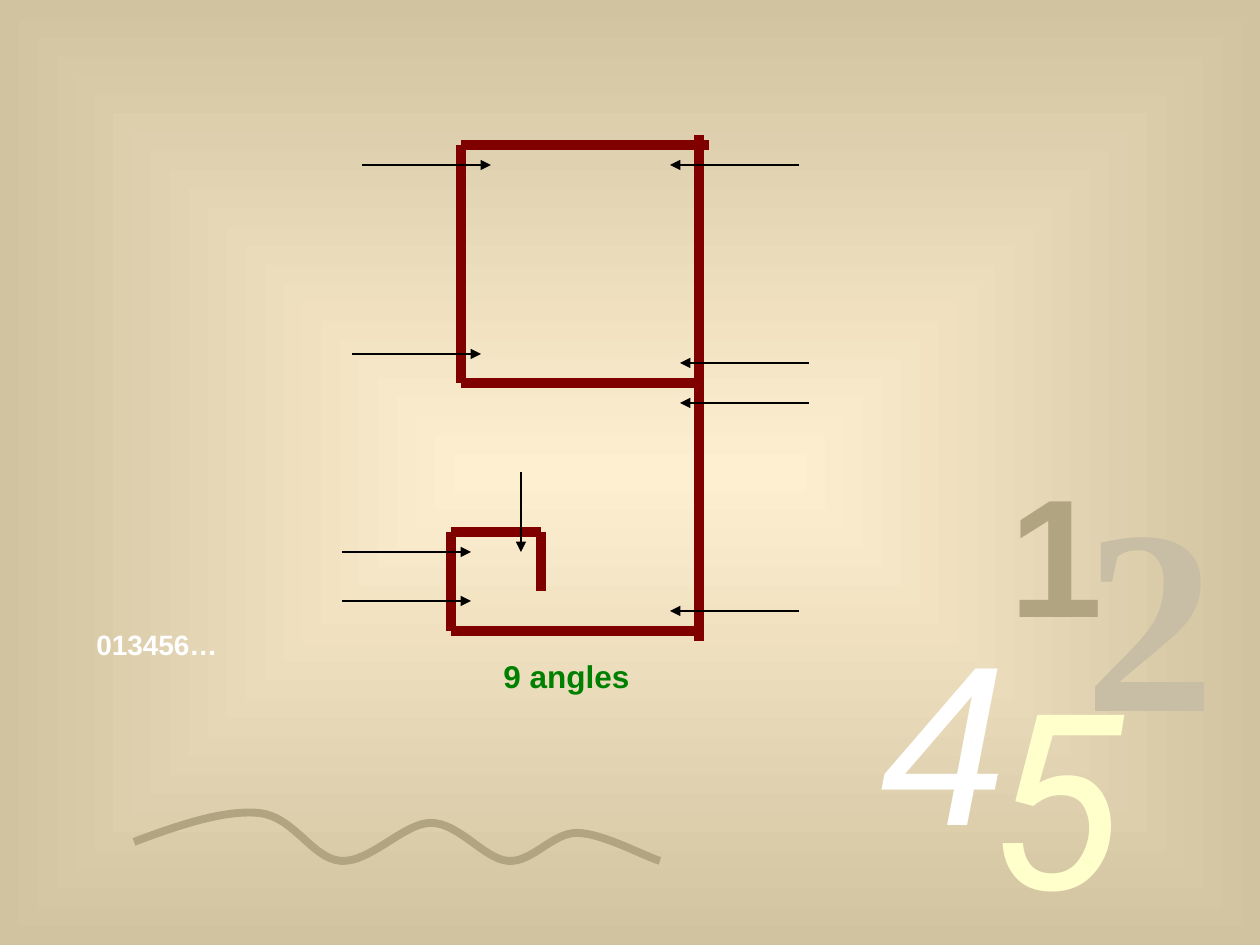
import pptx
import pptx.dml.color
import pptx.enum.shapes
import pptx.enum.text
import pptx.oxml
import pptx.oxml.ns
import pptx.util

PIXEL = 914400 // 126
qualified = pptx.oxml.ns.qn
namespace = pptx.oxml.ns.nsdecls("a")


def color(value):
    return pptx.dml.color.RGBColor.from_string(value)


def add_text(text, left, top, width, height, size, fill, font="Arial", bold=False, italic=False, wrap=True):
    box = slide.shapes.add_textbox(left * PIXEL, top * PIXEL, width * PIXEL, height * PIXEL)
    frame = box.text_frame
    frame.word_wrap = wrap
    frame.auto_size = pptx.enum.text.MSO_AUTO_SIZE.SHAPE_TO_FIT_TEXT
    paragraph = frame.paragraphs[0]
    paragraph.space_before = pptx.util.Pt(size * 0.625)
    run = paragraph.add_run()
    run.text = text
    run.font.size = pptx.util.Pt(size)
    run.font.name = font
    run.font.bold = bold
    run.font.italic = italic
    run.font.color.rgb = color(fill)


presentation = pptx.Presentation()
presentation.slide_width = pptx.util.Inches(10)
presentation.slide_height = pptx.util.Inches(7.5)
slide = presentation.slides.add_slide(presentation.slide_layouts[6])

background = slide.background.fill
background.gradient()
for stop, (position, value) in zip(background.gradient_stops, [(0, "FFEFD1"), (1, "D1C39F")]):
    stop.position = position
    stop.color.rgb = color(value)
gradient = slide.element.find(".//" + qualified("a:gradFill"))
linear = gradient.find(qualified("a:lin"))
gradient.replace(linear, pptx.oxml.parse_xml(
    f'<a:path {namespace} path="rect">'
    '<a:fillToRect l="50000" t="50000" r="50000" b="50000"/></a:path>'))

add_text("013456…", 84, 621, 154, 47, 16, "FFFFFF", bold=True)
add_text("1", 997, 443, 110, 214, 96, "B1A481", bold=True)
add_text("2", 1072, 443, 188, 328, 150, "C7BEA5", font="Times New Roman", bold=True)
add_text("4", 868, 592, 208, 286, 130, "FFFFFF", italic=True)
add_text("5", 977, 638, 139, 307, 140, "FFFFCC", font="Roboto", italic=True)

wave_start = (134, 842)
wave_points = [
    (179, 825), (224, 810), (258, 813),
    (294, 816), (312, 859), (341, 861),
    (370, 863), (404, 823), (431, 823),
    (459, 823), (484, 859), (508, 861),
    (532, 863), (552, 833), (577, 833),
    (602, 833), (646, 857), (660, 861),
]
builder = slide.shapes.build_freeform(*wave_start, scale=PIXEL)
builder.add_line_segments(wave_points, close=False)
wave = builder.convert_to_shape()
wave.shadow.inherit = False
wave.fill.background()
wave.line.color.rgb = color("B1A481")
wave.line.width = pptx.util.Pt(4.51)
segments = list(wave.element.iter(qualified("a:lnTo")))
for index in range(0, len(segments), 3):
    curve = pptx.oxml.parse_xml(f"<a:cubicBezTo {namespace}/>")
    segments[index].addprevious(curve)
    for segment in segments[index:index + 3]:
        curve.append(segment[0])
        segment.getparent().remove(segment)

digit_strokes = [
    (461, 145, 709, 145), (461, 145, 461, 383), (461, 383, 699, 383), (699, 641, 699, 135),
    (451, 631, 699, 631), (451, 532, 541, 532), (541, 532, 541, 591), (451, 532, 451, 631),
]
ARROW_LENGTH = 129
left_arrows = [(799, 165), (809, 363), (799, 611), (809, 403)]
right_arrows = [(362, 165), (352, 354), (342, 552), (342, 601)]
angle_arrows = [(x, y, x - ARROW_LENGTH, y) for x, y in left_arrows]
angle_arrows += [(x, y, x + ARROW_LENGTH, y) for x, y in right_arrows]
angle_arrows.append((521, 472, 521, 552))

for lines, value, width, arrow in [(digit_strokes, "800000", 6.01, False), (angle_arrows, "000000", 0.74, True)]:
    for ends in lines:
        connector = slide.shapes.add_connector(
            pptx.enum.shapes.MSO_CONNECTOR.STRAIGHT, *[length * PIXEL for length in ends])
        connector.line.color.rgb = color(value)
        connector.line.width = pptx.util.Pt(width)
        if arrow:
            connector.line._get_or_add_ln().append(
                pptx.oxml.parse_xml(f'<a:tailEnd {namespace} type="triangle"/>'))
        connector.element.spPr.append(pptx.oxml.parse_xml(f"<a:effectLst {namespace}/>"))

add_text("9 angles", 491, 651, 151, 50, 18, "008000", bold=True, wrap=False)

presentation.save("out.pptx")
